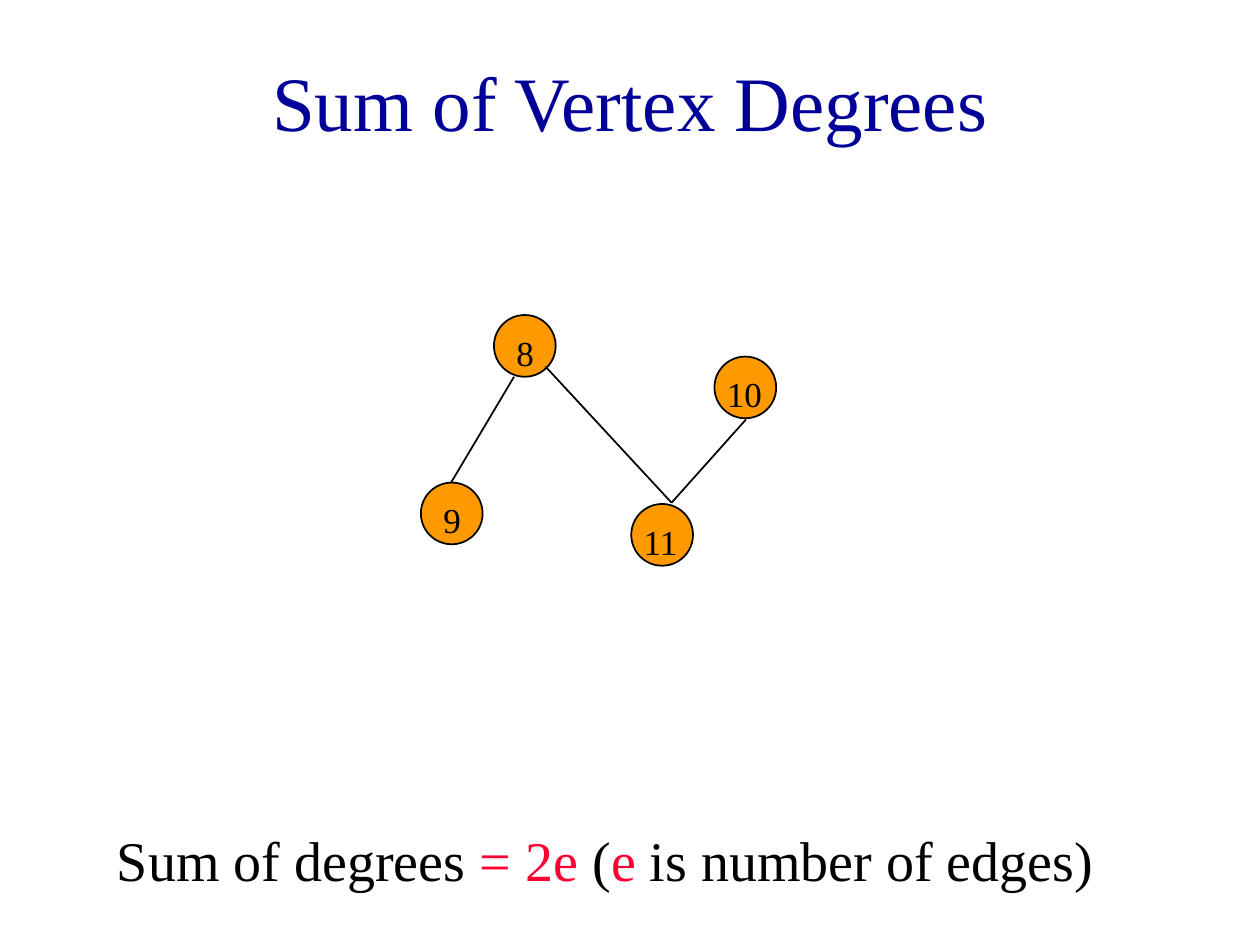
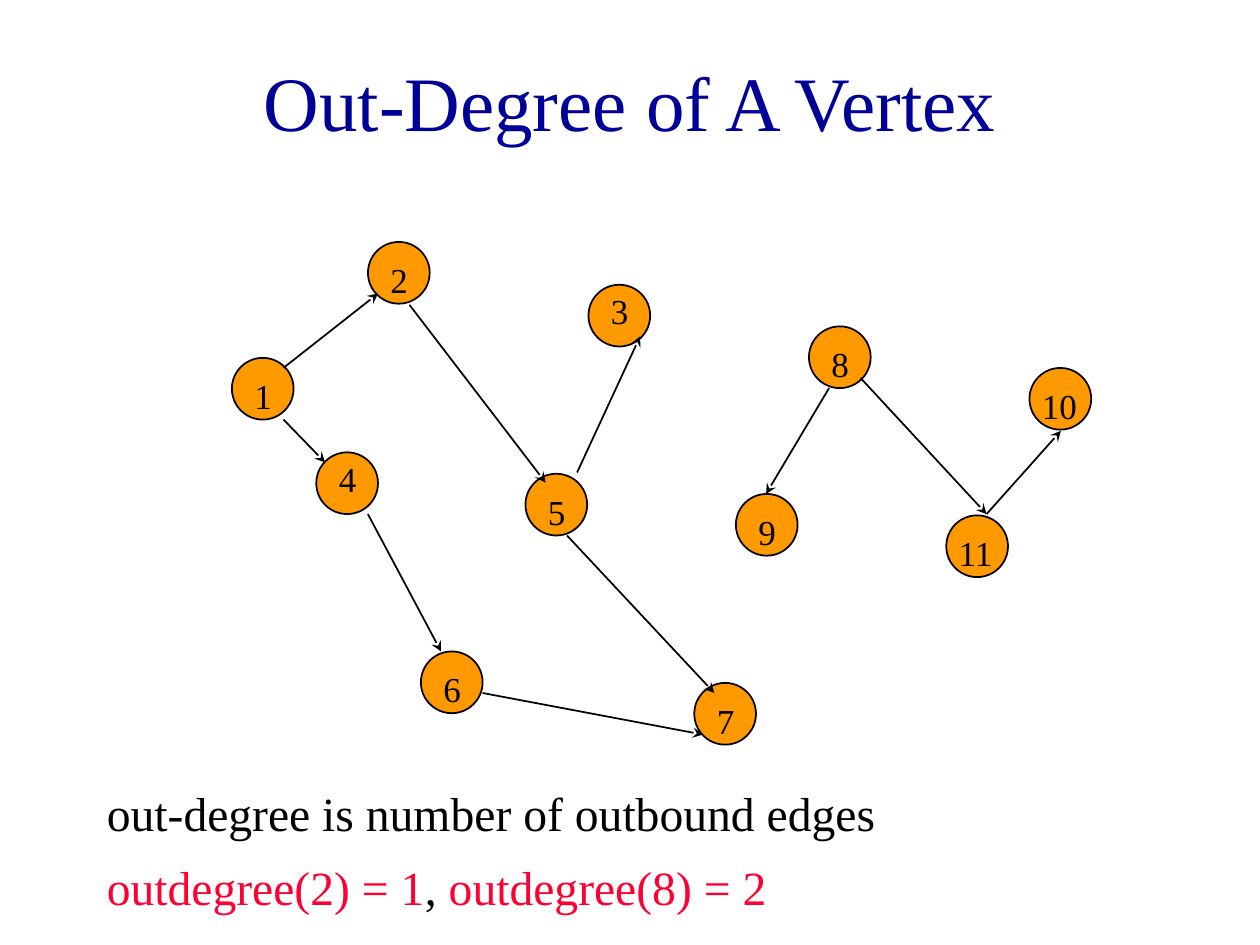
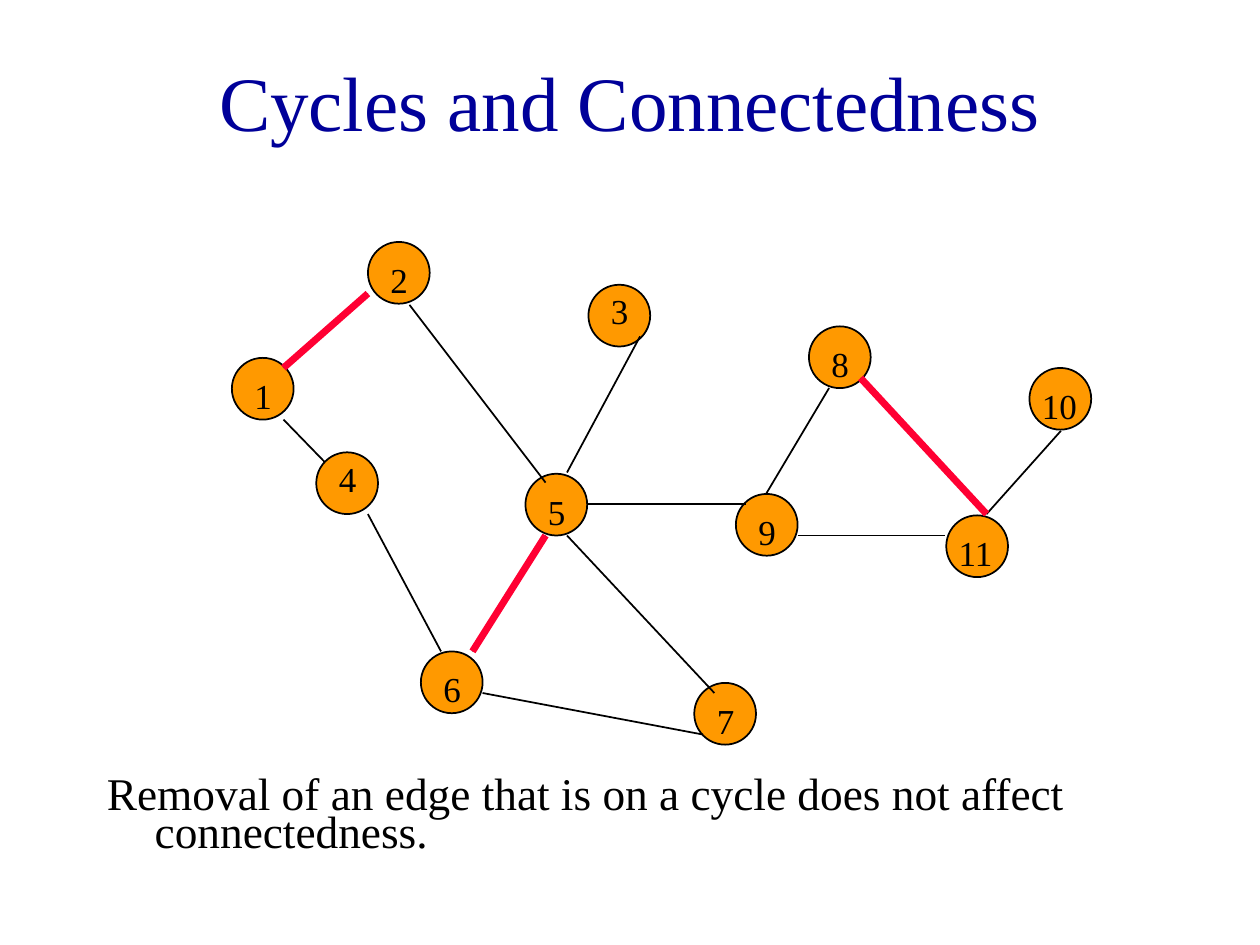
"""Builds three slides on graph degrees, out-degree and connectedness."""
from lxml import etree
from pptx import Presentation
from pptx.dml.color import RGBColor
from pptx.enum import shapes, text
from pptx.oxml.ns import qn
from pptx.util import Inches, Pt

FONT = "Times New Roman"
BLUE, RED, BLACK, ORANGE = "000099", "FF0033", "000000", "FF9900"
SIZE = 0.49

NODES = {
    1: (1.84, 2.84), 2: (2.92, 1.92), 3: (4.67, 2.26), 8: (6.42, 2.59),
    10: (8.17, 2.92), 4: (2.51, 3.59), 5: (4.17, 3.76), 9: (5.84, 3.92),
    11: (7.51, 4.09), 6: (3.34, 5.17), 7: (5.51, 5.42),
}
RAISED = (3, 4)
WIDTHS = {10: 0.5, 11: 0.83}
EDGES = {
    (1, 2): (2.25, 2.92, 3, 2.33),
    (2, 5): (3.25, 2.42, 4.33, 3.83),
    (1, 4): (2.25, 3.33, 2.58, 3.67),
    (4, 6): (2.92, 4.08, 3.5, 5.17),
    (6, 7): (3.83, 5.5, 5.58, 5.83),
    (5, 3): (4.58, 3.75, 5.08, 2.67),
    (5, 7): (4.5, 4.25, 5.67, 5.5),
    (8, 9): (6.58, 3.08, 6.08, 3.92),
    (8, 11): (6.83, 3, 7.83, 4.08),
    (11, 10): (7.83, 4.08, 8.42, 3.42),
}
LINKED = EDGES | {
    (1, 2): (2.25, 2.92, 2.92, 2.33),
    (5, 3): (4.5, 3.75, 5.08, 2.67),
    (5, 9): (4.67, 4, 5.92, 4),
    (5, 6): (4.33, 4.25, 3.75, 5.17),
    (9, 11): (6.33, 4.25, 7.5, 4.25),
}
SMALL = (8, 9, 10, 11)

SLIDES = [
    dict(
        title="Sum of Vertex Degrees",
        graph=dict(nodes=SMALL, shift=(-2.5, -0.09)),
        box=(0.83, 6.5, 8.5, 0.67),
        body=[[("Sum of degrees ", BLACK), ("= 2e", RED), (" (", BLACK),
               ("e ", RED), ("is number of edges)", BLACK)]],
        form=dict(size=32),
    ),
    dict(
        title="Out-Degree of A Vertex",
        graph=dict(arrow=True),
        box=(0.75, 6.17, 8.5, 1.17),
        body=[[("out-degree is number of outbound edges", BLACK)],
              [("outdegree(2) = 1", RED), (", ", BLACK),
               ("outdegree(8) = 2", RED)]],
        form=dict(size=27.2, before=10),
    ),
    dict(
        title="Cycles and Connectedness",
        graph=dict(edges=LINKED, marked=[(5, 6), (1, 2), (8, 11)]),
        box=(0.75, 6.14, 8.5, 0.78),
        body=[[("Removal of an edge that is on a cycle does not affect "
                "connectedness.", BLACK)]],
        form=dict(size=25.9, spacing=0.7),
    ),
]


def rgb(code):
    """Turn a hex string into a colour."""
    return RGBColor.from_string(code)


def write(slide, box, paras, size=20, align=text.PP_ALIGN.LEFT,
          anchor=text.MSO_ANCHOR.TOP, hang=0, before=0, spacing=None):
    """Add a text box holding paragraphs of (words, colour) runs."""
    frame = slide.shapes.add_textbox(*map(Inches, box)).text_frame
    frame.word_wrap = True
    frame.vertical_anchor = anchor
    for i, runs in enumerate(paras):
        para = frame.add_paragraph() if i else frame.paragraphs[0]
        para.alignment = align
        if hang:
            props = para._p.get_or_add_pPr()
            props.set("marL", str(Inches(hang)))
            props.set("indent", str(-Inches(hang)))
        if i:
            para.space_before = Pt(before)
        if spacing:
            para.line_spacing = spacing
        for words, color in runs:
            run = para.add_run()
            run.text = words
            run.font.name = FONT
            run.font.size = Pt(size)
            run.font.color.rgb = rgb(color)


def link(slide, ends, shift, color=BLACK, width=1, arrow=False):
    """Draw one edge, with an arrowhead at its end if asked."""
    dx, dy = shift
    x1, y1, x2, y2 = ends
    points = map(Inches, (x1 + dx, y1 + dy, x2 + dx, y2 + dy))
    line = slide.shapes.add_connector(shapes.MSO_CONNECTOR.STRAIGHT, *points)
    line.line.color.rgb = rgb(color)
    line.line.width = Pt(width)
    if arrow:
        tail = etree.SubElement(line.line._get_or_add_ln(), qn("a:tailEnd"))
        tail.set("type", "stealth")
    etree.SubElement(line._element.spPr, qn("a:effectLst"))


def draw(slide, nodes=tuple(NODES), edges=EDGES, shift=(0, 0), arrow=False,
         marked=()):
    """Draw the chosen vertices, the edges among them and the labels."""
    dx, dy = shift
    spots = {n: (NODES[n][0] + dx, NODES[n][1] + dy) for n in nodes}
    for x, y in spots.values():
        disc = slide.shapes.add_shape(
            shapes.MSO_SHAPE.OVAL, *map(Inches, (x, y, SIZE, SIZE)))
        disc.shadow.inherit = False
        disc.fill.solid()
        disc.fill.fore_color.rgb = rgb(ORANGE)
        disc.line.color.rgb = rgb(BLACK)
        disc.line.width = Pt(1)
    for pair, ends in edges.items():
        if set(pair) <= set(nodes):
            link(slide, ends, shift, arrow=arrow)
    for pair in marked:
        link(slide, edges[pair], shift, color=RED, width=4)
    for n, (x, y) in spots.items():
        left = x if n in WIDTHS else x + 0.08
        top = y - 0.01 if n in RAISED else y + 0.08
        write(slide, (left, top, WIDTHS.get(n, 0.25), 0.43),
              [[(str(n), BLACK)]])


def main():
    """Build and save the deck."""
    deck = Presentation()
    deck.slide_width, deck.slide_height = Inches(10), Inches(7.5)
    for item in SLIDES:
        slide = deck.slides.add_slide(deck.slide_layouts[6])
        write(slide, (0.75, 0.17, 8.5, 1.25), [[(item["title"], BLUE)]],
              size=44, align=text.PP_ALIGN.CENTER,
              anchor=text.MSO_ANCHOR.MIDDLE)
        draw(slide, **item["graph"])
        write(slide, item["box"], item["body"], hang=0.38, **item["form"])
    deck.save("out.pptx")


if __name__ == "__main__":
    main()
